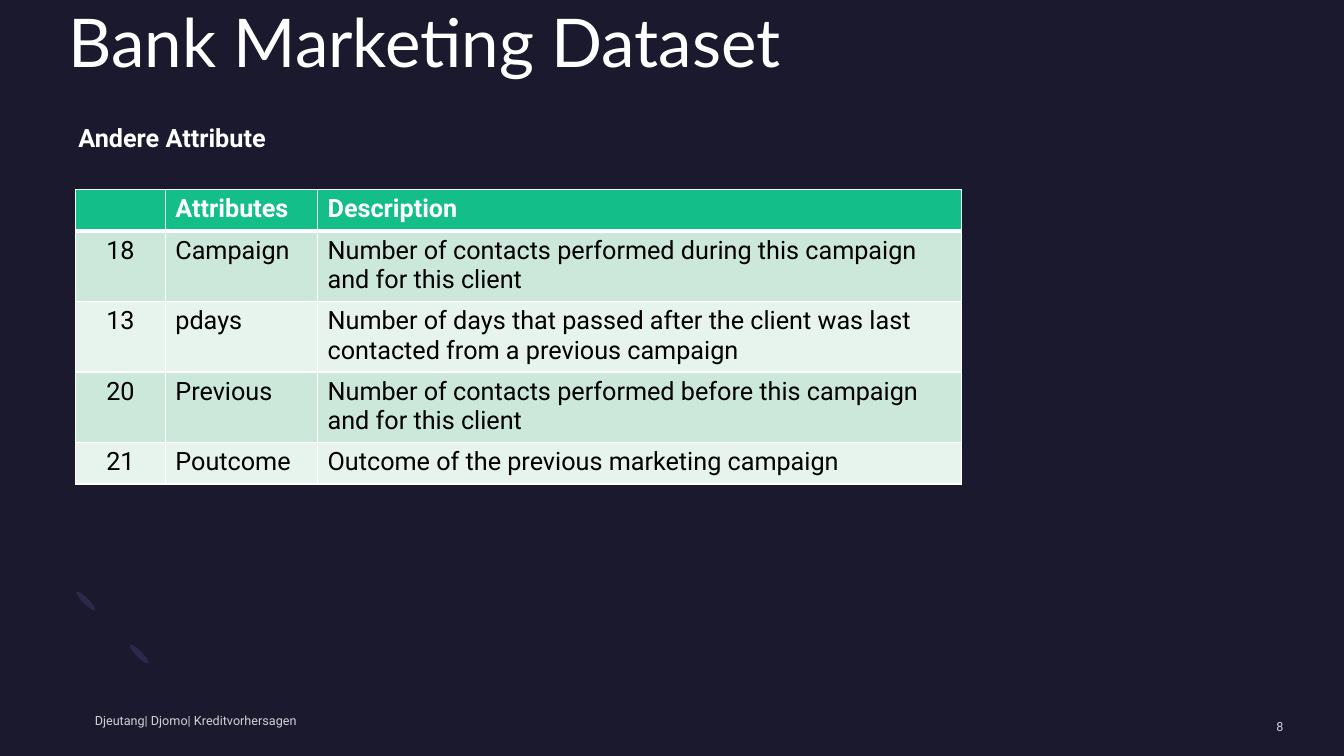
from lxml import etree
from pptx import Presentation
from pptx.dml.color import RGBColor
from pptx.enum.shapes import MSO_SHAPE
from pptx.enum.text import MSO_ANCHOR, PP_ALIGN
from pptx.oxml.ns import qn
from pptx.util import Inches, Pt

OVAL = MSO_SHAPE.OVAL
TOP, MIDDLE = MSO_ANCHOR.TOP, MSO_ANCHOR.MIDDLE
LEFT, CENTER, RIGHT = PP_ALIGN.LEFT, PP_ALIGN.CENTER, PP_ALIGN.RIGHT

NIGHT = RGBColor(0x1B, 0x19, 0x2E)
WHITE = RGBColor(0xFF, 0xFF, 0xFF)
BLACK = RGBColor(0x00, 0x00, 0x00)
SOFT_WHITE = RGBColor(0xD1, 0xD1, 0xD5)
GREEN = RGBColor(0x13, 0xBE, 0x89)
MINT = RGBColor(0xCC, 0xE8, 0xDA)
PALE_MINT = RGBColor(0xE7, 0xF4, 0xED)
VIOLET = RGBColor(0x2C, 0x28, 0x4A)
DIM_VIOLET = RGBColor(0x1D, 0x1B, 0x31)

COLUMN_WIDTHS = (0.89, 1.51, 6.39)
ROW_HEIGHTS = (0.41, 0.69, 0.69, 0.69, 0.41)
ATTRIBUTES = (
    ("", "Attributes", "Description"),
    ("18", "Campaign",
     "Number of contacts performed during this campaign and for this client"),
    ("13", "pdays",
     "Number of days that passed after the client was last contacted "
     "from a previous campaign"),
    ("20", "Previous",
     "Number of contacts performed before this campaign and for this client"),
    ("21", "Poutcome", "Outcome of the previous marketing campaign"),
)
RING_START = (0.31, 0.77)
RING_CURVES = (
    ((0.11, 0.57), (0.13, 0.23), (0.36, 0)),
    ((0.42, 0.06), (0.48, 0.12), (0.54, 0.18)),
    ((0.42, 0.29), (0.41, 0.47), (0.51, 0.56)),
    ((0.61, 0.66), (0.78, 0.65), (0.9, 0.54)),
    ((0.96, 0.6), (1.01, 0.66), (1.07, 0.72)),
    ((0.85, 0.94), (0.5, 0.97), (0.31, 0.77)),
)
CURVE_STEPS = 10


def style_paragraph(para, size, color, bold=False, align=LEFT, face="Roboto"):
    """Give a paragraph its font and alignment."""
    para.alignment = align
    font = para.font
    font.name, font.size, font.bold = face, Pt(size), bold
    font.color.rgb = color


def add_text(page, box, text, size, color, padded=False, anchor=TOP, **style):
    """Place a one-paragraph text box."""
    shape = page.shapes.add_textbox(*map(Inches, box))
    frame = shape.text_frame
    frame.word_wrap = True
    frame.vertical_anchor = anchor
    if not padded:
        frame.margin_left = frame.margin_right = 0
        frame.margin_top = frame.margin_bottom = 0
    frame.text = text
    style_paragraph(frame.paragraphs[0], size, color, **style)


def paint(shape, color):
    """Fill a shape flatly, without line or shadow."""
    shape.shadow.inherit = False
    shape.fill.solid()
    shape.fill.fore_color.rgb = color
    shape.line.fill.background()


def curve_points(start, curves):
    """Sample a chain of cubic curves."""
    points = []
    for first, second, end in curves:
        for step in range(1, CURVE_STEPS + 1):
            t = step / CURVE_STEPS
            u = 1 - t
            points.append(tuple(
                u**3 * a + 3 * u * u * t * b + 3 * u * t * t * c + t**3 * d
                for a, b, c, d in zip(start, first, second, end)))
        start = end
    return points


def add_ornament(page, left, top):
    """Draw the tilted half ring and its two end ellipses."""
    for offset in (0.9, 0.37):
        end = page.shapes.add_shape(
            OVAL, Inches(left + offset), Inches(top + offset - 0.36),
            Inches(0.06), Inches(0.26))
        end.rotation = 135
        paint(end, VIOLET)
    builder = page.shapes.build_freeform(*RING_START, scale=Inches(1))
    builder.add_line_segments(curve_points(RING_START, RING_CURVES))
    paint(builder.convert_to_shape(Inches(left), Inches(top)), DIM_VIOLET)


def add_borders(cell, bottom=1, top=1):
    """Line all sides of a cell in white."""
    properties = cell._tc.get_or_add_tcPr()
    for side, width in (("L", 1), ("R", 1), ("T", top), ("B", bottom)):
        line = etree.SubElement(
            properties, qn(f"a:ln{side}"), w=str(Pt(width)))
        fill = etree.SubElement(line, qn("a:solidFill"))
        etree.SubElement(fill, qn("a:srgbClr"), val=str(WHITE))


def add_attribute_table(page, left, top):
    """Build the banded attribute table."""
    table = page.shapes.add_table(
        len(ATTRIBUTES), len(COLUMN_WIDTHS), Inches(left), Inches(top),
        Inches(sum(COLUMN_WIDTHS)), Inches(sum(ROW_HEIGHTS))).table
    for column, width in zip(table.columns, COLUMN_WIDTHS):
        column.width = Inches(width)
    for index, (row, height) in enumerate(zip(table.rows, ROW_HEIGHTS)):
        row.height = Inches(height)
        header = index == 0
        band = GREEN if header else (PALE_MINT, MINT)[index % 2]
        for number, (cell, text) in enumerate(zip(row.cells, ATTRIBUTES[index])):
            add_borders(cell, bottom=3 if header else 1,
                        top=3 if index == 1 else 1)
            cell.fill.solid()
            cell.fill.fore_color.rgb = band
            cell.text = text
            style_paragraph(
                cell.text_frame.paragraphs[0], 18,
                WHITE if header else BLACK, bold=header,
                align=CENTER if number == 0 else LEFT)


def add_footer(page, left, top, width):
    """Place the authors on the left and the page number on the right."""
    add_text(page, (left, top, 6.98, 0.28),
             "Djeutang| Djomo| Kreditvorhersagen", 9, SOFT_WHITE, anchor=MIDDLE)
    add_text(page, (left + width - 1.85, top + 0.11, 1.85, 0.17), "8",
             9, SOFT_WHITE, anchor=MIDDLE, align=RIGHT)


def main():
    """Build and save the slide."""
    deck = Presentation()
    deck.slide_width, deck.slide_height = Inches(13.33), Inches(7.5)
    page = deck.slides.add_slide(deck.slide_layouts[6])
    page.background.fill.solid()
    page.background.fill.fore_color.rgb = NIGHT
    add_ornament(page, 0.45, 5.82)
    add_text(page, (0.68, 0, 12.1, 1), "Bank Marketing Dataset", 48, WHITE,
             face="Lato")
    add_attribute_table(page, 0.75, 1.88)
    add_text(page, (0.68, 1.16, 3, 0.4), "Andere Attribute", 18, WHITE,
             padded=True, bold=True)
    add_footer(page, 0.94, 7.01, 11.79)
    deck.save("out.pptx")


if __name__ == "__main__":
    main()
